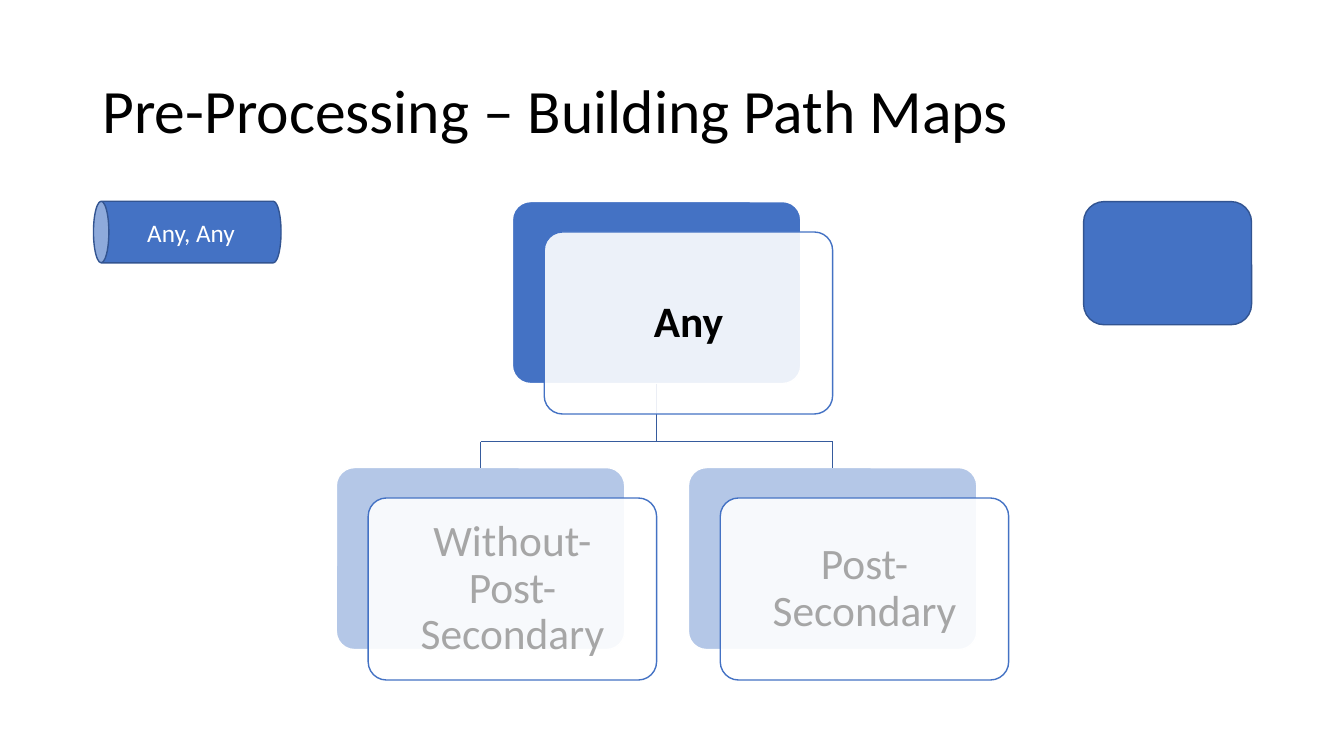
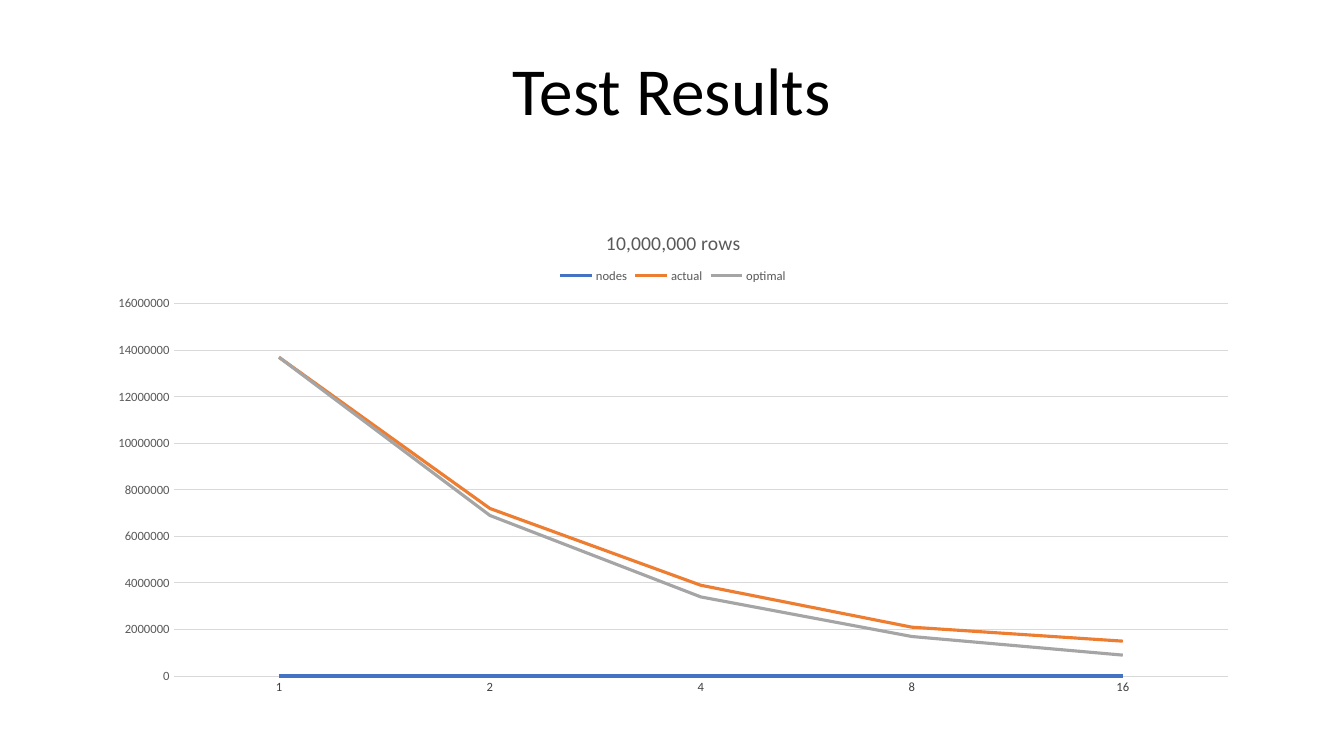
from dataclasses import dataclass

from lxml.etree import SubElement
from pptx import Presentation
from pptx.chart.data import CategoryChartData
from pptx.dml.color import RGBColor
from pptx.enum.chart import XL_CHART_TYPE, XL_LABEL_POSITION, XL_LEGEND_POSITION, XL_MARKER_STYLE, XL_TICK_MARK
from pptx.enum.shapes import MSO_CONNECTOR, MSO_SHAPE
from pptx.enum.text import MSO_ANCHOR, MSO_AUTO_SIZE, PP_ALIGN
from pptx.oxml import parse_xml
from pptx.oxml.ns import nsdecls, qn
from pptx.util import Pt


@dataclass(frozen=True)
class Theme:
    font: str = "Calibri"
    black: str = "000000"
    white: str = "FFFFFF"
    blue: str = "4472C4"
    outline: str = "325491"
    branch: str = "365B9D"
    pale_blue: str = "B4C7E7"
    faded_text: str = "A6A6A6"
    chart_text: str = "595959"
    label_text: str = "404040"
    grid: str = "D9D9D9"
    orange: str = "ED7D31"
    grey: str = "A5A5A5"
    title_size: int = 44
    results_title_size: int = 48
    card_size: int = 31
    shape_size: int = 18
    chart_title_size: int = 14
    chart_size: int = 10
    axis_size: int = 9
    line_width: float = 1
    series_width: float = 2.25
    grid_width: float = 0.75


THEME = Theme()
MARGIN = 66
CONTENT_WIDTH = 828
CARD_WIDTH, CARD_HEIGHT = 206, 130
CARD_SHIFT_X, CARD_SHIFT_Y = 22.75, 21.75
TREE_CENTER = 469
CHILD_OFFSET = 125.75
PARENT_TOP, BUS_Y, CHILD_TOP = 144, 315.5, 334


def color(value):
    return RGBColor.from_string(value)


def set_font(font, size, value, bold=False):
    font.name = THEME.font
    font.size = Pt(size)
    font.color.rgb = color(value)
    font.bold = bold


def add_titled_page(deck, text, top, height, size, anchor, align):
    page = deck.slides.add_slide(deck.slide_layouts[5])
    title = page.shapes.title
    title.left, title.top = Pt(MARGIN), Pt(top)
    title.width, title.height = Pt(CONTENT_WIDTH), Pt(height)
    frame = title.text_frame
    frame.text = text
    frame.auto_size = MSO_AUTO_SIZE.NONE
    frame.vertical_anchor = anchor
    para = frame.paragraphs[0]
    para.alignment = align
    para.line_spacing = 0.9
    set_font(para.font, size, THEME.black)
    return page


def add_box(page, kind, left, top, width, height, fill, line):
    box = page.shapes.add_shape(kind, Pt(left), Pt(top), Pt(width), Pt(height))
    box.shadow.inherit = False
    box.fill.solid()
    box.fill.fore_color.rgb = color(fill)
    box.line.color.rgb = color(line)
    box.line.width = Pt(THEME.line_width)
    return box


def write_centred(box, text, size, value, bold=False):
    frame = box.text_frame
    frame.text = text
    frame.word_wrap = True
    frame.vertical_anchor = MSO_ANCHOR.MIDDLE
    para = frame.paragraphs[0]
    para.alignment = PP_ALIGN.CENTER
    set_font(para.font, size, value, bold)
    return frame


def add_card(page, left, top, fill, line):
    card = add_box(page, MSO_SHAPE.ROUNDED_RECTANGLE, left, top, CARD_WIDTH, CARD_HEIGHT, fill, line)
    card.adjustments[0] = 0.1
    return card


def add_label_card(page, left, top, text, value, bold):
    """Add the translucent card that overlaps a coloured one."""
    card = add_card(page, left + CARD_SHIFT_X, top + CARD_SHIFT_Y, THEME.white, THEME.blue)
    fill_color = card.element.xpath("./p:spPr/a:solidFill/a:srgbClr")[0]
    SubElement(fill_color, qn("a:alpha"), val="90000")
    frame = write_centred(card, text, THEME.card_size, value, bold)
    frame.margin_left = frame.margin_right = Pt(13)
    frame.margin_top = frame.margin_bottom = Pt(13)
    frame.paragraphs[0].line_spacing = 0.9


def add_line(page, start, end):
    line = page.shapes.add_connector(MSO_CONNECTOR.STRAIGHT, *(Pt(value) for value in start + end))
    line.line.color.rgb = color(THEME.branch)
    line.line.width = Pt(THEME.line_width)
    SubElement(line.element.spPr, qn("a:effectLst"))
    return line


def add_tree(page):
    left_center, right_center = TREE_CENTER - CHILD_OFFSET, TREE_CENTER + CHILD_OFFSET
    nodes = [
        ("Any", TREE_CENTER, PARENT_TOP, THEME.blue, THEME.black, True),
        ("Without-Post-Secondary", left_center, CHILD_TOP, THEME.pale_blue, THEME.faded_text, False),
        ("Post-Secondary", right_center, CHILD_TOP, THEME.pale_blue, THEME.faded_text, False),
    ]
    parent, *children = [
        add_card(page, center - CARD_WIDTH / 2, top, fill, THEME.white)
        for _, center, top, fill, _, _ in nodes
    ]
    trunk = add_line(page, (TREE_CENTER, PARENT_TOP + CARD_HEIGHT), (TREE_CENTER, BUS_Y))
    trunk.begin_connect(parent, 2)
    add_line(page, (left_center, BUS_Y), (right_center, BUS_Y))
    for child, center in zip(children, (left_center, right_center)):
        drop = add_line(page, (center, BUS_Y), (center, CHILD_TOP))
        drop.end_connect(child, 0)
    for text, center, top, _, value, bold in nodes:
        add_label_card(page, center - CARD_WIDTH / 2, top, text, value, bold)


def add_pipe(page, text):
    """Add a can lying on its side, with its text level."""
    pipe = add_box(page, MSO_SHAPE.CAN, 111.75, 98.75, 44, 134, THEME.blue, THEME.outline)
    pipe.rotation = 270
    write_centred(pipe, text, THEME.shape_size, THEME.white)
    pipe.element.xpath(".//a:bodyPr")[0].set("vert", "vert")


def place_chart_part(part, **fractions):
    """Fix a chart part at fractions of the chart's size."""
    for old in part.findall(qn("c:layout")):
        part.remove(old)
    inner = '<c:layoutTarget val="inner"/>' if "w" in fractions else ""
    modes = "".join(f'<c:{key}Mode val="edge"/>' for key in "xy")
    values = "".join(f'<c:{key} val="{value}"/>' for key, value in fractions.items())
    layout = parse_xml(
        f'<c:layout {nsdecls("c")}><c:manualLayout>{inner}{modes}{values}</c:manualLayout></c:layout>'
    )
    overlay = part.find(qn("c:overlay"))
    if overlay is None:
        part.insert(0, layout)
    else:
        overlay.addprevious(layout)


def style_value_axis(axis):
    axis.minimum_scale, axis.maximum_scale, axis.major_unit = 0, 16000000, 2000000
    axis.major_tick_mark = axis.minor_tick_mark = XL_TICK_MARK.NONE
    axis.format.line.fill.background()
    axis.has_major_gridlines = True
    grid = axis.major_gridlines.format.line
    grid.color.rgb = color(THEME.grid)
    grid.width = Pt(THEME.grid_width)
    set_font(axis.tick_labels.font, THEME.axis_size, THEME.chart_text)


def add_results_chart(page):
    data = CategoryChartData()
    data.categories = ["1", "2", "3", "4", "5"]
    data.add_series("nodes", [1, 2, 4, 8, 16])
    data.add_series("actual", [13700000, 7200000, 3900000, 2100000, 1500000])
    data.add_series("optimal", [13700000, 6900000, 3400000, 1700000, 900000])
    chart = page.shapes.add_chart(
        XL_CHART_TYPE.LINE, Pt(MARGIN), Pt(147), Pt(CONTENT_WIDTH), Pt(350), data
    ).chart
    set_font(chart.font, THEME.chart_size, THEME.black)

    chart.has_title = True
    frame = chart.chart_title.text_frame
    frame.text = "10,000,000 rows"
    set_font(frame.paragraphs[0].font, THEME.chart_title_size, THEME.chart_text)
    chart.chart_title.include_in_layout = False

    chart.has_legend = True
    chart.legend.position = XL_LEGEND_POSITION.TOP
    chart.legend.include_in_layout = False
    set_font(chart.legend.font, THEME.axis_size, THEME.chart_text)

    chart.category_axis.visible = False
    style_value_axis(chart.value_axis)

    plot = chart.plots[0]
    plot.vary_by_categories = False
    for series, value in zip(plot.series, (THEME.blue, THEME.orange, THEME.grey)):
        series.smooth = False
        series.marker.style = XL_MARKER_STYLE.NONE
        series.format.line.color.rgb = color(value)
        series.format.line.width = Pt(THEME.series_width)
    labels = plot.series[0].data_labels
    labels.show_value = True
    labels.position = XL_LABEL_POSITION.BELOW
    set_font(labels.font, THEME.axis_size, THEME.label_text)

    place_chart_part(chart.chart_title.element if hasattr(chart.chart_title, "element")
                     else chart.element.xpath("./c:chart/c:title")[0], x=0.44, y=0.04)
    place_chart_part(chart.element.xpath(".//c:legend")[0], x=0.4, y=0.12)
    place_chart_part(chart.element.xpath(".//c:plotArea")[0], x=0.07, y=0.2, w=0.91, h=0.76)


def main():
    deck = Presentation()
    deck.slide_width, deck.slide_height = Pt(960), Pt(540)

    maps_page = add_titled_page(
        deck, "Pre-Processing – Building Path Maps", 29, 104,
        THEME.title_size, MSO_ANCHOR.MIDDLE, PP_ALIGN.LEFT,
    )
    add_tree(maps_page)
    add_pipe(maps_page, "Any, Any")
    add_box(maps_page, MSO_SHAPE.ROUNDED_RECTANGLE, 774, 144, 120, 88, THEME.blue, THEME.outline)

    results_page = add_titled_page(
        deck, "Test Results", 23, 73.5,
        THEME.results_title_size, MSO_ANCHOR.BOTTOM, PP_ALIGN.CENTER,
    )
    add_results_chart(results_page)
    deck.save("out.pptx")


if __name__ == "__main__":
    main()
